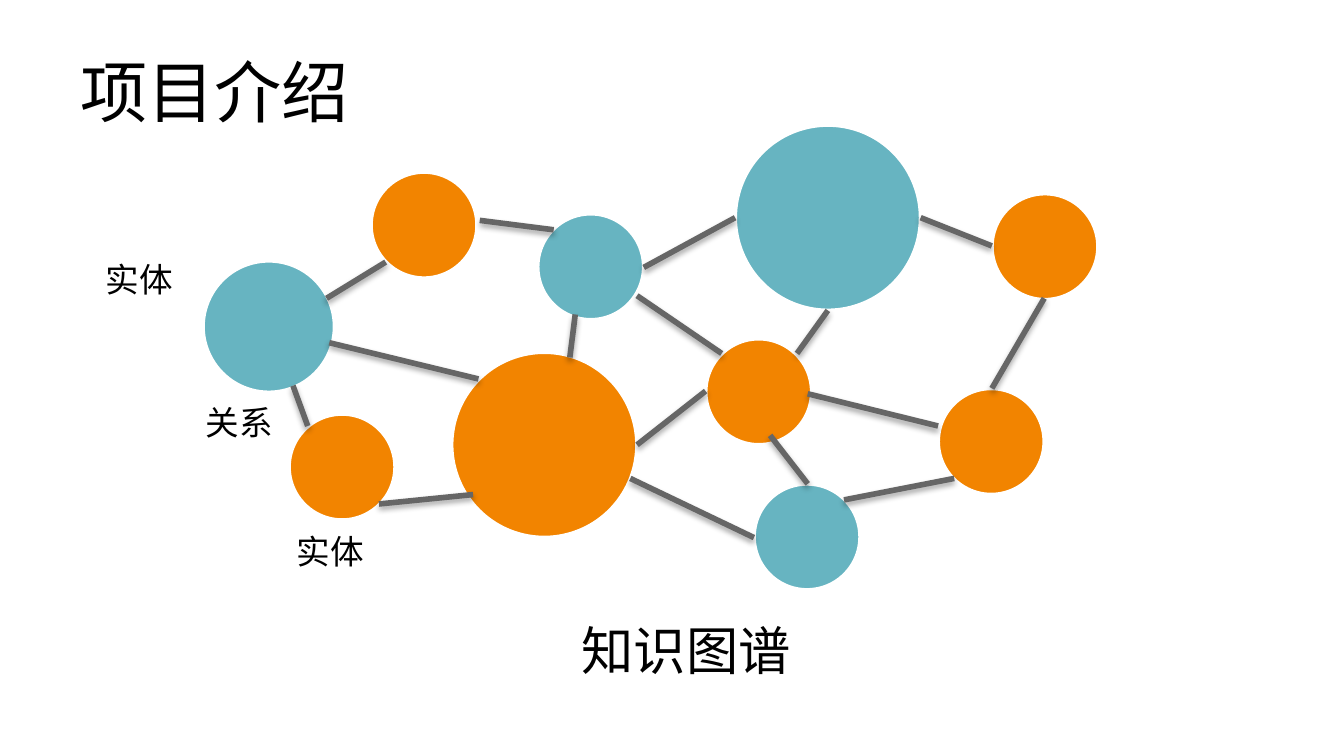
"""Build a slide that introduces a knowledge graph of entities and relations."""
from dataclasses import dataclass

from pptx import Presentation
from pptx.dml.color import RGBColor
from pptx.enum.shapes import MSO_CONNECTOR, MSO_SHAPE
from pptx.enum.text import MSO_ANCHOR, MSO_AUTO_SIZE
from pptx.oxml import parse_xml
from pptx.oxml.ns import nsdecls
from pptx.util import Inches, Pt

ELLIPSE = MSO_SHAPE.OVAL
STRAIGHT = MSO_CONNECTOR.STRAIGHT
MIDDLE, TOP = MSO_ANCHOR.MIDDLE, MSO_ANCHOR.TOP
FIT_SHAPE, NO_FIT = MSO_AUTO_SIZE.SHAPE_TO_FIT_TEXT, MSO_AUTO_SIZE.NONE


@dataclass(frozen=True)
class Theme:
    orange: RGBColor = RGBColor(0xF2, 0x84, 0x00)
    teal: RGBColor = RGBColor(0x67, 0xB4, 0xC1)
    outline: RGBColor = RGBColor(0xFF, 0xFF, 0xFF)
    edge: RGBColor = RGBColor(0x66, 0x66, 0x66)
    text: RGBColor = RGBColor(0x00, 0x00, 0x00)
    title_font: str = "Noto Sans CJK SC"
    label_font: str = "Arial"
    title_size: Pt = Pt(36)
    caption_size: Pt = Pt(28)
    label_size: Pt = Pt(18)


theme = Theme()
SMALL, MEDIUM, LARGE = 0.79, 0.98, 1.38
SHADOW = (
    f'<a:effectLst {nsdecls("a")}>'
    '<a:outerShdw blurRad="40000" dist="23000" dir="5400000" rotWithShape="0">'
    '<a:srgbClr val="000000"><a:alpha val="35000"/></a:srgbClr>'
    "</a:outerShdw></a:effectLst>"
)

presentation = Presentation()
presentation.slide_width = Inches(10)
presentation.slide_height = Inches(10 * 9 / 16)
slide = presentation.slides.add_slide(presentation.slide_layouts[6])


def add_text(text, left, top, width, height, size, font_name, wrap=False):
    box = slide.shapes.add_textbox(
        Inches(left), Inches(top), Inches(width), Inches(height)
    )
    frame = box.text_frame
    frame.word_wrap = wrap
    frame.auto_size = NO_FIT if wrap else FIT_SHAPE
    frame.vertical_anchor = MIDDLE if wrap else TOP
    paragraph = frame.paragraphs[0]
    run = paragraph.add_run()
    run.text = text
    run.font.name = font_name
    run.font.size = size
    run.font.color.rgb = theme.text
    return paragraph


def add_edge(start_x, start_y, end_x, end_y):
    connector = slide.shapes.add_connector(
        STRAIGHT, Inches(start_x), Inches(start_y), Inches(end_x), Inches(end_y)
    )
    connector.line.color.rgb = theme.edge
    connector.line.width = Pt(3)
    connector.element.spPr.append(parse_xml(SHADOW))


title = add_text(
    "项目介绍", 0.5, 0.25, 9, 0.79, theme.title_size, theme.title_font, wrap=True
)
title.line_spacing = 1.1

nodes = [
    (3.36, 2.62, LARGE, theme.orange),
    (5.47, 0.93, LARGE, theme.teal),
    (5.25, 2.52, SMALL, theme.orange),
    (2.76, 1.28, SMALL, theme.orange),
    (7.38, 1.44, SMALL, theme.orange),
    (6.98, 2.89, SMALL, theme.orange),
    (5.61, 3.6, SMALL, theme.teal),
    (4, 1.59, SMALL, theme.teal),
    (1.51, 1.94, MEDIUM, theme.teal),
    (2.15, 3.08, SMALL, theme.orange),
]
for left, top, diameter, color in nodes:
    node = slide.shapes.add_shape(
        ELLIPSE, Inches(left), Inches(top), Inches(diameter), Inches(diameter)
    )
    node.shadow.inherit = False
    node.fill.solid()
    node.fill.fore_color.rgb = color
    node.line.color.rgb = theme.outline
    node.line.width = Pt(2)

edges = [
    (2.18, 2.87, 2.29, 3.17),
    (2.87, 1.95, 2.43, 2.22),
    (3.57, 1.64, 4.12, 1.71),
    (2.82, 3.75, 3.52, 3.68),
    (2.45, 2.55, 3.56, 2.82),
    (4.74, 2.2, 5.37, 2.63),
    (4.28, 2.34, 4.24, 2.66),
    (4.69, 3.56, 5.61, 4),
    (6.01, 2.93, 6.98, 3.17),
    (5.73, 3.24, 6.01, 3.6),
    (6.85, 1.62, 7.38, 1.83),
    (4.79, 1.99, 5.47, 1.62),
    (6.28, 3.72, 7.1, 3.56),
    (6.16, 2.31, 5.93, 2.63),
    (7.77, 2.22, 7.38, 2.89),
    (4.74, 3.31, 5.25, 2.91),
]
for edge in edges:
    add_edge(*edge)

add_text("知识图谱", 4.23, 4.55, 1.77, 0.57, theme.caption_size, theme.label_font)
for label, left, top in [("实体", 0.69, 1.88), ("关系", 1.43, 2.94), ("实体", 2.11, 3.9)]:
    add_text(label, left, top, 0.71, 0.4, theme.label_size, theme.label_font)

presentation.save("out.pptx")
